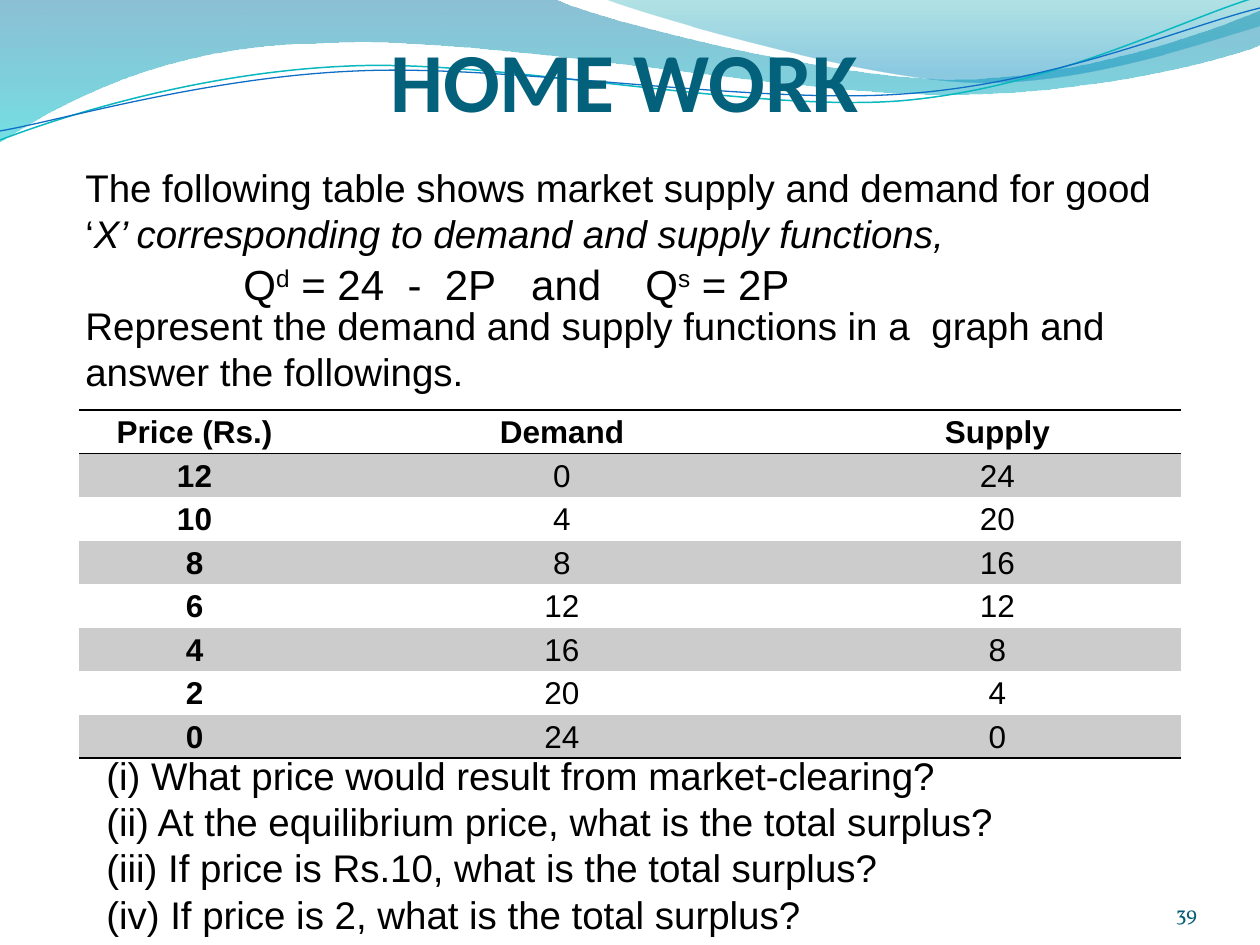
from dataclasses import dataclass
from typing import NamedTuple

from lxml.etree import SubElement
from pptx import Presentation
from pptx.dml.color import RGBColor
from pptx.enum.text import MSO_ANCHOR, PP_ALIGN
from pptx.oxml.ns import qn
from pptx.util import Pt

PX = 7257  # EMU in one px, 126 px to the inch
WIDTH, HEIGHT = 1260, 945
PLAIN_TABLE = "{2D5ABB26-0587-4C30-8999-92F81FD0307C}"


@dataclass(frozen=True)
class Theme:
    body_font: str = "Arial"
    title_font: str = "Calibri"
    number_font: str = "Vollkorn"
    ink: str = "000000"
    title: str = "04617B"
    number: str = "045D75"
    band: str = "CCCCCC"
    title_size: int = 48
    formula_size: int = 24
    body_size: int = 22
    table_size: int = 18
    number_size: int = 12


THEME = Theme()


class Box(NamedTuple):
    left: int
    top: int
    width: int
    height: int


class Run(NamedTuple):
    text: str
    italic: bool = False
    raised: bool = False
    gap: float = 0  # extra points after each character


class Stop(NamedTuple):
    position: float
    color: str
    alpha: int


class Wave(NamedTuple):
    """Each segment holds one point (a line) or three points (a cubic curve)."""
    start: tuple
    segments: list
    stops: tuple = ()
    line: str = ""
    weight: float = 0


WAVES = [
    Wave((0, -1), [
        (554, -1), (600, 21, 837, 79, 955, 79), (1075, 79, 1207, 33, 1260, 11),
        (1261, 45), (1239, 55, 1096, 96, 940, 94), (784, 94, 481, 35, 324, 43),
        (163, 44, 58, 105, -1, 142)],
        stops=(Stop(0, "0074A1", 45), Stop(1, "00C6CF", 55))),
    Wave((604, -1), [
        (641, 14, 859, 78, 969, 82), (1079, 87, 1211, 40, 1260, 26), (1260, 0)],
        stops=(Stop(0, "00A1A9", 30), Stop(0.8, "008BBF", 45))),
    Wave((0, 140), [
        (60, 117, 199, 72, 349, 66), (498, 59, 747, 112, 898, 101),
        (1050, 89, 1182, 19, 1257, -3)], line="0AB8BF", weight=0.85),
    Wave((0, 131), [
        (59, 121, 207, 77, 357, 71), (508, 64, 752, 105, 903, 94),
        (1053, 84, 1186, 26, 1260, 8)], line="0F6FC6", weight=0.75),
]

INTRO = [
    [Run("The following table shows market supply and demand for good ‘"),
     Run("X’ corresponding to demand and supply functions,", italic=True)],
    [Run("Represent the demand and supply functions in a"), Run(" ", gap=6.11),
     Run("graph and answer the followings.")],
]
DEMAND = [Run("Q"), Run("d", raised=True), Run(" = 24"), Run(" ", gap=6.67), Run("-"),
          Run(" ", gap=6.67), Run("2P"), Run(" ", gap=13.33), Run("and")]
SUPPLY = [Run("Q"), Run("s", raised=True), Run(" = 2P")]
QUESTIONS = [
    "(i) What price would result from market-clearing?",
    "(ii) At the equilibrium price, what is the total surplus?",
    "(iii) If price is Rs.10, what is the total surplus?",
    "(iv) If price is 2, what is the total surplus?",
]
HEADERS = ("Price (Rs.)", "Demand", "Supply")
SCHEDULE = [(price, 24 - 2 * price, 2 * price) for price in range(12, -1, -2)]
COLUMNS = (231, 504, 367)


def px(*values: int) -> list:
    return [v * PX for v in values]


def write(tf, paragraphs, *, size, font=THEME.body_font, color=THEME.ink, bold=False,
          align=PP_ALIGN.LEFT, spacing=None, gap_before=0) -> None:
    """Fill a text frame; gap_before is the space above each later paragraph."""
    for i, content in enumerate(paragraphs):
        p = tf.add_paragraph() if i else tf.paragraphs[0]
        p.alignment, p.line_spacing = align, spacing
        p.space_before = Pt(gap_before if i else 0)
        for part in [Run(content)] if isinstance(content, str) else content:
            r = p.add_run()
            r.text = part.text
            r.font.name, r.font.size = font, Pt(size)
            r.font.bold, r.font.italic = bold, part.italic
            r.font.color.rgb = RGBColor.from_string(color)
            if part.raised:
                r.font._element.set("baseline", "30000")
            if part.gap:
                r.font._element.set("spc", str(round(part.gap * 100)))


def set_insets(tf, left=0, top=0, right=0, bottom=0) -> None:
    tf.margin_left, tf.margin_top, tf.margin_right, tf.margin_bottom = px(
        left, top, right, bottom)


def add_text(slide, box: Box, paragraphs, *, wrap=True, **style):
    tf = slide.shapes.add_textbox(*px(*box)).text_frame
    tf.word_wrap = wrap
    write(tf, paragraphs, **style)
    return tf


def bend_segments(s, segments: list) -> None:
    """Join the three lines that stand for each cubic curve into one Bezier segment."""
    lines = iter(list(s._element.iter(qn("a:lnTo"))))
    for segment in segments:
        first = next(lines)
        if len(segment) == 6:
            first.tag = qn("a:cubicBezTo")
            for _ in range(2):
                extra = next(lines)
                first.append(extra[0])
                extra.getparent().remove(extra)


def add_wave(slide, wave: Wave) -> None:
    points = [pair for segment in wave.segments
              for pair in zip(segment[::2], segment[1::2])]
    builder = slide.shapes.build_freeform(*wave.start, scale=PX)
    builder.add_line_segments(points, close=bool(wave.stops))
    s = builder.convert_to_shape()
    bend_segments(s, wave.segments)
    s.shadow.inherit = False
    if not wave.stops:
        s.fill.background()
        s.line.color.rgb = RGBColor.from_string(wave.line)
        s.line.width = Pt(wave.weight)
        return
    s.line.fill.background()
    s.fill.gradient()
    s.fill.gradient_angle = 270
    for target, stop in zip(s.fill.gradient_stops, wave.stops):
        target.position = stop.position
        target.color.rgb = RGBColor.from_string(stop.color)
        color = next(target._gs.iter(qn("a:srgbClr")))
        SubElement(color, qn("a:alpha"), val=str(stop.alpha * 1000))


def add_rule(cell, side: str) -> None:
    """Draw a 1 pt border on the side named T or B, ahead of the cell's fill."""
    tc_pr = cell._tc.get_or_add_tcPr()
    line = SubElement(tc_pr, qn(f"a:ln{side}"), w=str(Pt(1)))
    SubElement(SubElement(line, qn("a:solidFill")), qn("a:srgbClr"), val=THEME.ink)
    fill = next(i for i, child in enumerate(tc_pr) if child.tag in
                (qn("a:solidFill"), qn("a:noFill")))
    tc_pr.insert(fill, line)


def add_schedule(slide, box: Box) -> None:
    rows = [HEADERS, *SCHEDULE]
    table = slide.shapes.add_table(len(rows), len(COLUMNS), *px(*box)).table
    table.first_row = table.horz_banding = False
    table._tbl.tblPr.find(qn("a:tableStyleId")).text = PLAIN_TABLE
    for column, width in zip(table.columns, COLUMNS):
        column.width = width * PX
    for i, values in enumerate(rows):
        table.rows[i].height = box.height * PX // len(rows)
        for j, value in enumerate(values):
            cell = table.cell(i, j)
            set_insets(cell, left=9, right=9)
            write(cell.text_frame, [str(value)], size=THEME.table_size,
                  bold=i == 0 or j == 0, align=PP_ALIGN.CENTER, spacing=1.15)
            if i % 2:
                cell.fill.solid()
                cell.fill.fore_color.rgb = RGBColor.from_string(THEME.band)
            else:
                cell.fill.background()
            if i == 0:
                add_rule(cell, "T")
            if i in (0, len(rows) - 1):
                add_rule(cell, "B")


def main() -> None:
    prs = Presentation()
    prs.slide_width, prs.slide_height = px(WIDTH, HEIGHT)
    slide = prs.slides.add_slide(prs.slide_layouts[5])
    for wave in WAVES:
        add_wave(slide, wave)

    title = slide.shapes.title
    slide.shapes._spTree.append(title._element)  # in front of the waves
    title.left, title.top, title.width, title.height = px(31, 27, 1187, 105)
    set_insets(title.text_frame, top=6)
    title.text_frame.vertical_anchor = MSO_ANCHOR.BOTTOM
    write(title.text_frame, ["HOME WORK"], size=THEME.title_size, font=THEME.title_font,
          color=THEME.title, bold=True, align=PP_ALIGN.CENTER, spacing=0.95)

    number = add_text(slide, Box(1092, 876, 105, 50), ["39"], size=THEME.number_size,
                      font=THEME.number_font, color=THEME.number, align=PP_ALIGN.RIGHT)
    set_insets(number)
    number.vertical_anchor = MSO_ANCHOR.BOTTOM

    add_text(slide, Box(73, 158, 1092, 246), INTRO, size=THEME.body_size, gap_before=26)
    add_schedule(slide, Box(79, 410, sum(COLUMNS), 348))
    add_text(slide, Box(94, 746, 1071, 199), QUESTIONS, size=THEME.body_size)
    for box, formula in ((Box(231, 252, 388, 64), DEMAND), (Box(633, 252, 173, 64), SUPPLY)):
        add_text(slide, box, [formula], size=THEME.formula_size, wrap=False)
    prs.save("out.pptx")


if __name__ == "__main__":
    main()
